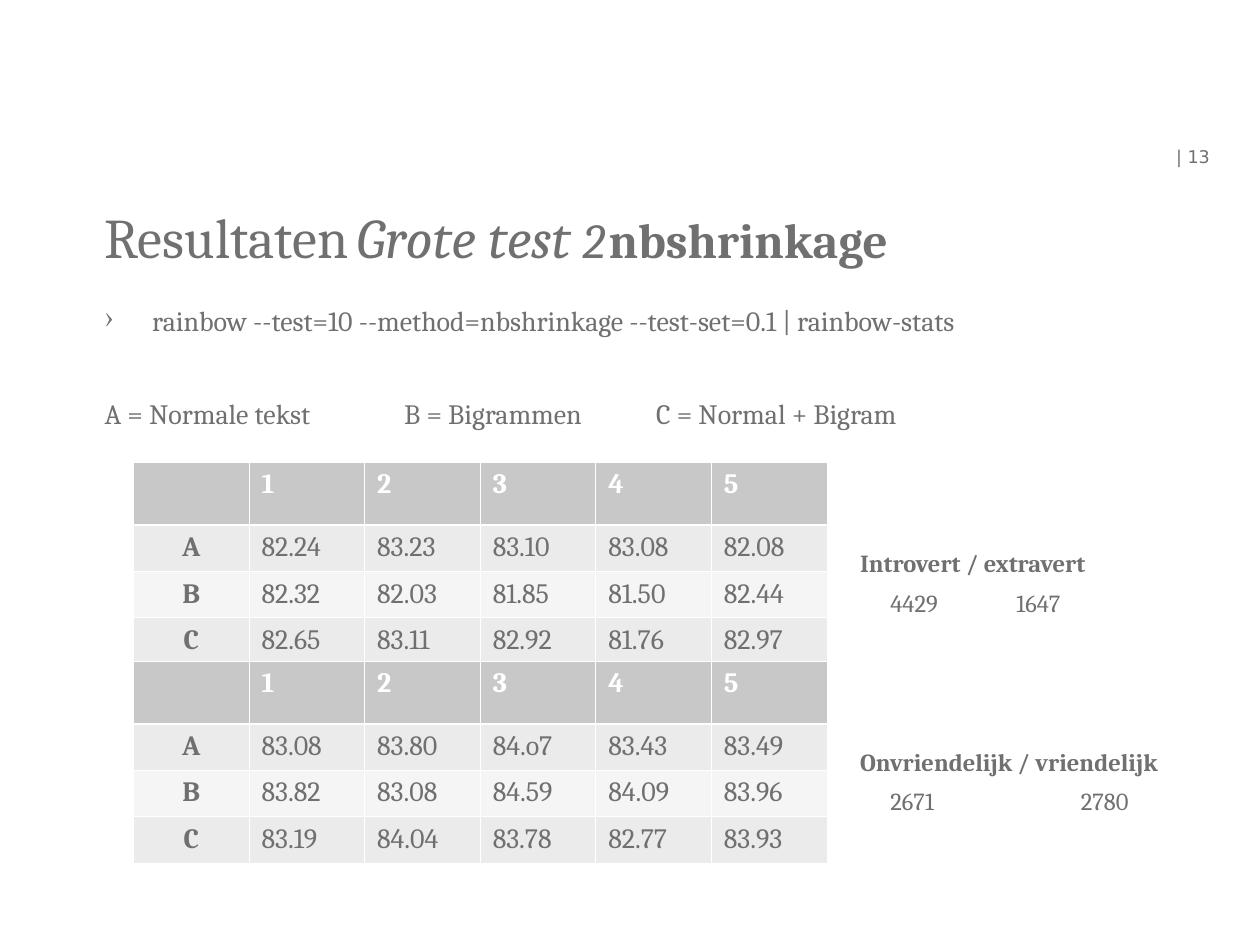
import pptx
import pptx.util
import pptx.dml.color
import pptx.enum.text
import pptx.oxml
import pptx.oxml.ns

Cm, Pt = pptx.util.Cm, pptx.util.Pt
RGB = pptx.dml.color.RGBColor
ALIGN, ANCHOR = pptx.enum.text.PP_ALIGN, pptx.enum.text.MSO_ANCHOR
GREY, WHITE = RGB(0x70, 0x70, 0x70), RGB(255, 255, 255)
HEAD, DARK, PALE = RGB(0xC8, 0xC8, 0xC8), RGB(0xEB, 0xEB, 0xEB), RGB(0xF5, 0xF5, 0xF5)
SERIF, SANS = "Cambria", "DejaVu Sans"

# Title runs: text, size, italic, bold
TITLE = [("Resultaten\t", 32, False, False), ("Grote test ", 32, True, False),
         ("2\t", 28, True, False), ("nbshrinkage", 28, False, True)]
COMMAND = "rainbow --test=10 --method=nbshrinkage --test-set=0.1 | rainbow-stats"
LEGEND = "A = Normale tekst\t\tB = Bigrammen\t\tC = Normal + Bigram"
TOP_ROW = ["", "1", "2", "3", "4", "5"]
# Each test: label, counts, tab stop in cm, scores
TESTS = [
    ("Introvert / extravert", "4429\t1647", 2.54, [
        ["A", "82.24", "83.23", "83.10", "83.08", "82.08"],
        ["B", "82.32", "82.03", "81.85", "81.50", "82.44"],
        ["C", "82.65", "83.11", "82.92", "81.76", "82.97"]]),
    ("Onvriendelijk / vriendelijk", "2671\t2780", 3.84, [
        ["A", "83.08", "83.80", "84.o7", "83.43", "83.49"],
        ["B", "83.82", "83.08", "84.59", "84.09", "83.96"],
        ["C", "83.19", "84.04", "83.78", "82.77", "83.93"]]),
]
LEFT, WIDTH = 2.11, 22.05
GRID_X, GRID_Y, PITCH = 2.69, 9.32, 4.01
COL, HEAD_H, ROW_H = 2.33, 1.27, 0.9


def element(text):
    """Make a drawing element from its XML text."""
    space = pptx.oxml.ns.nsdecls("a")
    tag, rest = text[:text.index(" ")], text[text.index(" "):]
    return pptx.oxml.parse_xml(f"{tag} {space}{rest}")


def style(para, size, color=GREY, bold=False, face=SERIF):
    """Set the font of a paragraph."""
    font = para.font
    font.name, font.size, font.bold = face, Pt(size), bold
    font.color.rgb = color


def add_box(slide, x, y, w, h, inset=False):
    """Add a wrapping text box, with or without insets."""
    frame = slide.shapes.add_textbox(Cm(x), Cm(y), Cm(w), Cm(h)).text_frame
    frame.word_wrap = True
    if not inset:
        frame.margin_left = frame.margin_right = 0
        frame.margin_top = frame.margin_bottom = 0
    return frame


def add_title(slide):
    """Add the title with its mixed runs."""
    para = add_box(slide, LEFT, 4.09, WIDTH, 1.83).paragraphs[0]
    style(para, 32)
    for text, size, slant, bold in TITLE:
        run = para.add_run()
        run.text = text
        font = run.font
        font.name, font.size, font.italic, font.bold = SERIF, Pt(size), slant, bold
        font.color.rgb = GREY


def add_body(slide):
    """Add the bulleted command and the legend below it."""
    frame = add_box(slide, LEFT, 6.12, WIDTH, 3)
    for text, gap, mark in [(COMMAND, 4, True), (LEGEND, 34, False)]:
        para = frame.add_paragraph() if frame.text else frame.paragraphs[0]
        para.text = text
        props = para._p.get_or_add_pPr()
        props.set("marL", str(Cm(0.96)))
        props.set("indent", str(-Cm(0.96)))
        if mark:
            props.append(element(f'<a:buClr ><a:srgbClr val="{GREY}"/></a:buClr>'))
            props.append(element('<a:buChar char="›"/>'))
        else:
            props.append(element('<a:buNone />'))
        para.space_before = Pt(gap)
        style(para, 16)


def add_edges(cell, row):
    """Draw white cell borders, thick between header and scores."""
    thick = {0: "B", 1: "T"}.get(row)
    props = cell._tc.get_or_add_tcPr()
    for i, side in enumerate("LRTB"):
        wide = Pt(1.5 if side == thick else 0.5)
        props.insert(i, element(
            f'<a:ln{side} w="{wide}"><a:solidFill><a:srgbClr val="{WHITE}"/>'
            f'</a:solidFill></a:ln{side}>'))


def add_scores(slide, y, scores):
    """Add one table of scores."""
    rows = [TOP_ROW] + scores
    high = HEAD_H + ROW_H * len(scores)
    table = slide.shapes.add_table(len(rows), len(TOP_ROW), Cm(GRID_X), Cm(y),
                                   Cm(COL * len(TOP_ROW)), Cm(high)).table
    for col in table.columns:
        col.width = Cm(COL)
    for r, row in enumerate(rows):
        table.rows[r].height = Cm(ROW_H if r else HEAD_H)
        for c, text in enumerate(row):
            cell = table.cell(r, c)
            cell.text = text
            cell.fill.solid()
            cell.fill.fore_color.rgb = (DARK if r % 2 else PALE) if r else HEAD
            add_edges(cell, r)
            para = cell.text_frame.paragraphs[0]
            style(para, 16, GREY if r else WHITE, r == 0 or c == 0)
            if r and c == 0:
                para.alignment = ALIGN.CENTER


def add_note(slide, x, y, text, bold, stop=None):
    """Add a line beside a table, with an optional tab stop."""
    para = add_box(slide, x, y, 7.7, 0.86, True).paragraphs[0]
    para.text = text
    if stop:
        para._p.get_or_add_pPr().append(element(
            f'<a:tabLst ><a:tab pos="{Cm(stop)}" algn="l"/></a:tabLst>'))
    style(para, 14, bold=bold)


deck = pptx.Presentation()
deck.slide_width, deck.slide_height = Cm(25.4), Cm(19.05)
slide = deck.slides.add_slide(deck.slide_layouts[6])
add_title(slide)
number = add_box(slide, 23.6, 2.79, 1.8, 0.74)
number.vertical_anchor = ANCHOR.MIDDLE
number.text = " | 13"
style(number.paragraphs[0], 10, face=SANS)
add_body(slide)
for i, (label, counts, stop, scores) in enumerate(TESTS):
    y = GRID_Y + i * PITCH
    add_scores(slide, y, scores)
    add_note(slide, 17.09, y + 1.6, label, True)
    add_note(slide, 17.7, y + 2.4, counts, False, stop)
deck.save("out.pptx")
